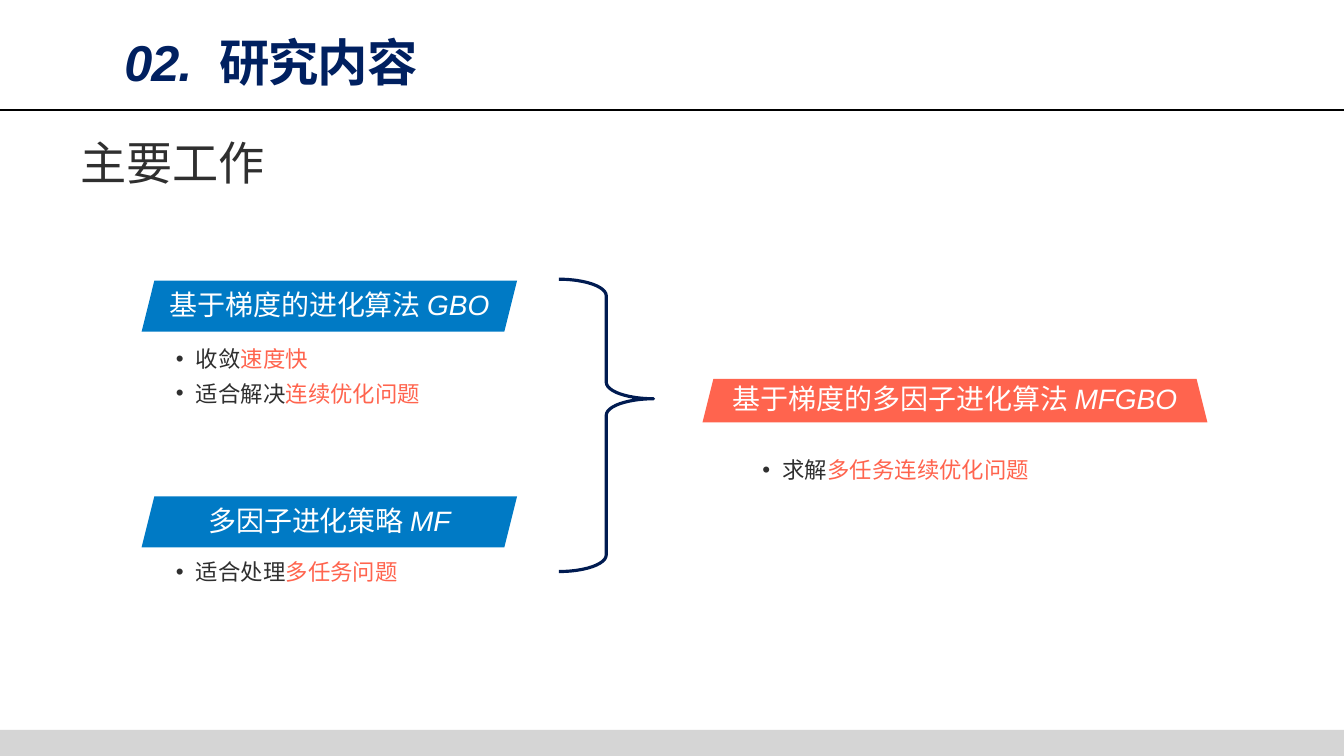
from pptx import Presentation
from pptx.dml.color import RGBColor
from pptx.enum.shapes import MSO_CONNECTOR as Connector, MSO_SHAPE as Shape
from pptx.enum.text import MSO_ANCHOR as Anchor, PP_ALIGN as Align
from pptx.oxml.ns import qn
from pptx.util import Inches, Pt
from lxml.etree import SubElement

NAVY, BLUE, CORAL, DARK = "002060", "007AC5", "FF644E", "2F2F2F"
WHITE, GREY, BLACK, BRACE = "FFFFFF", "D5D5D5", "000000", "001B51"

TITLE = ("02.", "  研究内容")
HEADING = "主要工作"
BANNERS = [
    (Shape.PARALLELOGRAM, BLUE, (2.81, 5.57, 7.45, 1.01),
     (2.95, 5.54, 7.17, 0.99), "基于梯度的进化算法 ", "GBO"),
    (Shape.PARALLELOGRAM, BLUE, (2.81, 9.85, 7.45, 1.01),
     (2.95, 9.93, 7.17, 0.79), "多因子进化策略 ", "MF"),
    (Shape.TRAPEZOID, CORAL, (13.94, 7.52, 10.02, 0.86),
     (14.13, 7.38, 9.64, 1.03), "基于梯度的多因子进化算法 ", "MFGBO"),
]
BULLETS = [
    ((3.43, 6.62, 8.16, 1.51), [("收敛", "速度快"), ("适合解决", "连续优化问题")]),
    ((3.43, 10.86, 8.16, 0.81), [("适合处理", "多任务问题")]),
    ((15.07, 8.84, 8.16, 0.81), [("求解", "多任务连续优化问题")]),
]


def rgb(color):
    """Turn a hex string into a colour."""
    return RGBColor.from_string(color)


def style(font, size, name, color):
    """Set size, typeface and colour of a font."""
    font.size, font.name = Pt(size), name
    font.color.rgb = rgb(color)


def add_shape(shapes, kind, box, fill=None):
    """Add a preset shape without outline or shadow."""
    shape = shapes.add_shape(kind, *map(Inches, box))
    shape.shadow.inherit = False
    if fill:
        shape.fill.solid()
        shape.fill.fore_color.rgb = rgb(fill)
        shape.line.fill.background()
    else:
        shape.fill.background()
    return shape


def add_frame(shapes, box):
    """Add a wrapping, vertically centred text box and return its frame."""
    frame = shapes.add_textbox(*map(Inches, box)).text_frame
    frame.word_wrap, frame.vertical_anchor = True, Anchor.MIDDLE
    frame.margin_left = frame.margin_right = Inches(0.06)
    frame.margin_top = frame.margin_bottom = Inches(0.06)
    return frame


def add_run(paragraph, text):
    """Add a run and return it."""
    run = paragraph.add_run()
    run.text = text
    return run


def add_title(shapes):
    """Add the section title, its rule, the footer band and the heading."""
    rule = shapes.add_connector(
        Connector.STRAIGHT, 0, Inches(2.19), Inches(26.67), Inches(2.19))
    rule.line.color.rgb, rule.line.width = rgb(BLACK), Pt(3)
    SubElement(rule._element.spPr, qn("a:effectLst"))

    paragraph = add_frame(shapes, (2.41, 0.05, 6.19, 1.73)).paragraphs[0]
    paragraph.line_spacing = 1.5
    style(paragraph.font, 72, "Arial", NAVY)
    paragraph.font.bold = True
    for text, italic in zip(TITLE, (True, False)):
        run = add_run(paragraph, text)
        run.font.italic = italic
        run._r.get_or_add_rPr().set("spc", "-160")

    add_shape(shapes, Shape.RECTANGLE, (0, 14.48, 26.67, 0.52), GREY)
    paragraph = add_frame(shapes, (1.53, 2.6, 8.72, 1.22)).paragraphs[0]
    paragraph.text = HEADING
    style(paragraph.font, 66, "Arial", DARK)


def add_banner(shapes, kind, fill, box, text_box, name, acronym):
    """Add a coloured banner grouped with its label."""
    group = shapes.add_group_shape().shapes
    add_shape(group, kind, box, fill)
    paragraph = add_frame(group, text_box).paragraphs[0]
    paragraph.alignment = Align.CENTER
    style(paragraph.font, 40, "Lato", WHITE)
    add_run(paragraph, name)
    run = add_run(paragraph, acronym)
    run.font.name, run.font.italic = "Arial", True


def add_bullets(shapes, box, items):
    """Add bulleted lines, each ending in a highlighted phrase."""
    frame = add_frame(shapes, box)
    for index, (lead, highlight) in enumerate(items):
        paragraph = frame.add_paragraph() if index else frame.paragraphs[0]
        paragraph.line_spacing = 1.3
        properties = paragraph._p.get_or_add_pPr()
        properties.set("marL", str(Inches(0.4)))
        properties.set("indent", str(Inches(-0.47)))
        SubElement(properties, qn("a:buFont"), typeface="Arial")
        SubElement(properties, qn("a:buChar"), char="•")
        style(paragraph.font, 32, "Lato", DARK)
        add_run(paragraph, lead)
        add_run(paragraph, highlight).font.color.rgb = rgb(CORAL)


def main():
    """Build the slide and save it."""
    presentation = Presentation()
    presentation.slide_width, presentation.slide_height = Inches(26.67), Inches(15)
    slide = presentation.slides.add_slide(presentation.slide_layouts[6])
    shapes = slide.shapes
    add_title(shapes)
    for banner in BANNERS:
        add_banner(shapes, *banner)
    for box, items in BULLETS:
        add_bullets(shapes, box, items)
    brace = add_shape(shapes, Shape.RIGHT_BRACE, (11.09, 5.54, 1.88, 5.8))
    brace.adjustments[0], brace.adjustments[1] = 0.175, 0.409
    brace.line.color.rgb, brace.line.width = rgb(BRACE), Pt(4.5)
    presentation.save("out.pptx")


if __name__ == "__main__":
    main()
